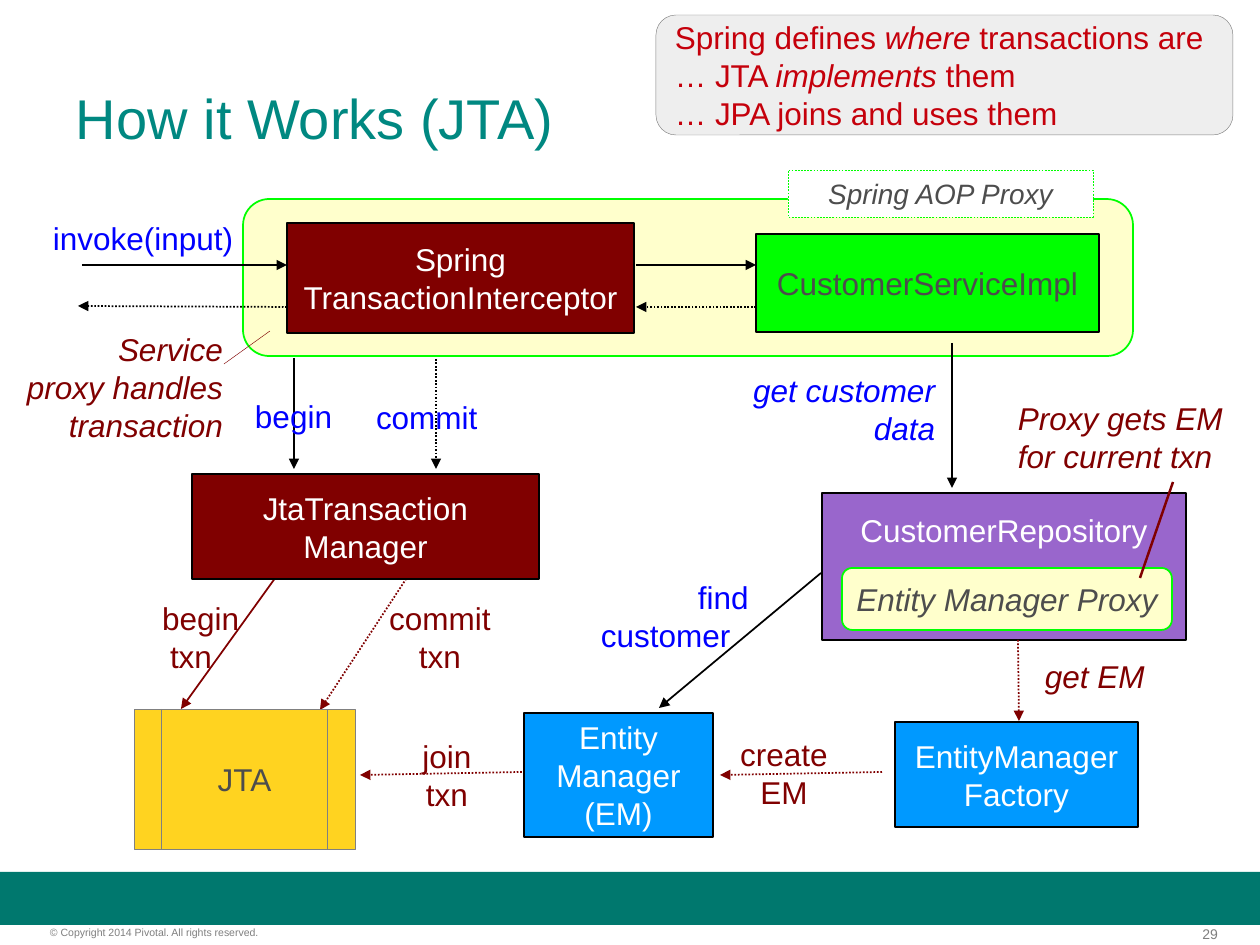
from lxml.etree import SubElement
from pptx import Presentation
from pptx.dml.color import RGBColor
from pptx.enum.dml import MSO_LINE
from pptx.enum.shapes import MSO_CONNECTOR, MSO_SHAPE
from pptx.enum.text import MSO_ANCHOR, PP_ALIGN
from pptx.oxml.ns import qn
from pptx.util import Pt

SCALE = 914400 / 126
HAIRLINE = 0.25
C = {
    "teal": "00786E", "title": "008881", "footer": "7F7F7F", "white": "FFFFFF",
    "black": "000000", "gray": "808080", "text": "4D4D4D", "blue": "0000FF",
    "maroon": "800000", "red": "C5000B", "silver": "EEEEEE", "cream": "FFFFCC",
    "green": "00FF00", "purple": "9966CC", "sky": "0099FF", "gold": "FFD320",
}
LEFT, CENTER, RIGHT = PP_ALIGN.LEFT, PP_ALIGN.CENTER, PP_ALIGN.RIGHT


def px(n):
    """Turn px into EMU."""
    return round(n * SCALE)


def rgb(name):
    """Look up a colour by name."""
    return RGBColor.from_string(C[name])


def write(tf, lines, color, size=18, align=LEFT, italic=False, pad=(13, 6), indents=()):
    """Fill a frame with lines; asterisks enclose italic runs."""
    tf.word_wrap = True
    tf.margin_left = tf.margin_right = px(pad[0])
    tf.margin_top = tf.margin_bottom = px(pad[1])
    for i, line in enumerate(lines):
        p = tf.paragraphs[0] if i == 0 else tf.add_paragraph()
        p.alignment = align
        if i < len(indents):
            p._p.get_or_add_pPr().set("marL", str(px(indents[i])))
        p.font.name, p.font.size, p.font.color.rgb = "Arial", Pt(size), rgb(color)
        p.font.italic = italic
        for j, part in enumerate(line.split("*")):
            if part:
                r = p.add_run()
                r.text = part
                if j % 2:
                    r.font.italic = True


def label(s, x, y, w, h, lines, color, anchor=MSO_ANCHOR.TOP, **style):
    """Place a text box."""
    tf = s.shapes.add_textbox(px(x), px(y), px(w), px(h)).text_frame
    tf.vertical_anchor = anchor
    write(tf, lines, color, **style)


def box(s, x, y, w, h, fill, line="black", lines=(), color="white", weight=1,
        kind=MSO_SHAPE.RECTANGLE, align=CENTER, **style):
    """Place a filled shape with centred text."""
    sp = s.shapes.add_shape(kind, px(x), px(y), px(w), px(h))
    sp.shadow.inherit = False
    sp.fill.solid()
    sp.fill.fore_color.rgb = rgb(fill)
    if line:
        sp.line.color.rgb, sp.line.width = rgb(line), Pt(weight)
    else:
        sp.line.fill.background()
    sp.text_frame.vertical_anchor = MSO_ANCHOR.MIDDLE
    write(sp.text_frame, lines, color, align=align, **style)
    return sp


def rounded(s, *args, **style):
    """Place a rounded box."""
    return box(s, *args, kind=MSO_SHAPE.ROUNDED_RECTANGLE, **style)


def arrow(s, x1, y1, x2, y2, color="black", dotted=False, weight=1, head=True):
    """Draw a line, by default with an arrowhead at its end."""
    c = s.shapes.add_connector(MSO_CONNECTOR.STRAIGHT, px(x1), px(y1), px(x2), px(y2))
    c.line.color.rgb, c.line.width = rgb(color), Pt(weight)
    if dotted:
        c.line.dash_style = MSO_LINE.ROUND_DOT
    if head:
        SubElement(c.line._get_or_add_ln(), qn("a:tailEnd"), type="triangle")
    SubElement(c._element.spPr, qn("a:effectLst"))


def footer(s, x, y):
    """Place the bar, copyright line and page number."""
    box(s, x, y, 1260, 53, "teal", None)
    label(s, x + 50, y + 54, 314, 13, ["© Copyright 2014 Pivotal. All rights reserved."],
          "footer", size=6, pad=(0, 0))
    label(s, x + 1145, y + 54, 73, 16, ["29"], "footer", size=8, align=RIGHT, pad=(0, 0))


def header(s, x, y):
    """Place the title and the summary callout."""
    label(s, x, y + 23, 560, 158, ["How it Works (JTA)"], "title", MSO_ANCHOR.MIDDLE, size=32)
    rounded(s, x + 593, y, 577, 120, "silver", "gray",
            ["Spring defines *where* transactions are", "… JTA *implements* them",
             "… JPA joins and uses them"], "red", weight=HAIRLINE, align=LEFT)


def service_proxy(s, x, y):
    """Place the proxy with its interceptor and service."""
    rounded(s, x + 243, y + 29, 890, 157, "cream", "green")
    label(s, x + 40, y + 43, 215, 50, ["invoke(input)"], "blue")
    arrow(s, x + 82, y + 95, x + 287, y + 95)
    box(s, x + 287, y + 53, 347, 110, "maroon", lines=["Spring", "TransactionInterceptor"])
    box(s, x + 756, y + 64, 343, 98, "green", lines=["CustomerServiceImpl"], color="text")
    arrow(s, x + 636, y + 95, x + 756, y + 95)
    arrow(s, x + 756, y + 137, x + 636, y + 137, dotted=True)
    arrow(s, x + 287, y + 137, x + 78, y + 136, dotted=True)
    aop = box(s, x + 788, y, 305, 47, "white", "green", ["Spring AOP Proxy"], "text",
              weight=HAIRLINE, size=16, italic=True)
    aop.line.dash_style = MSO_LINE.DASH
    arrow(s, x + 270, y + 161, x + 224, y + 194, "maroon", weight=HAIRLINE, head=False)
    label(s, x, y + 154, 236, 126, ["Service", "proxy handles", "transaction"],
          "maroon", align=RIGHT, italic=True)


def transactions(s, x, y):
    """Place the transaction manager, JTA and the calls between them."""
    arrow(s, x + 174, y, x + 174, y + 111)
    arrow(s, x + 316, y + 1, x + 316, y + 111, dotted=True)
    label(s, x + 122, y + 33, 120, 50, ["begin"], "blue")
    label(s, x + 243, y + 34, 145, 50, ["commit"], "blue")
    arrow(s, x + 161, y + 212, x + 61, y + 351, "maroon")
    arrow(s, x + 292, y + 212, x + 200, y + 352, "maroon", dotted=True)
    box(s, x + 72, y + 116, 347, 105, "maroon", lines=["JtaTransaction", "Manager"])
    label(s, x + 29, y + 235, 130, 88, ["begin", "txn"], "maroon", indents=(0, 8))
    label(s, x + 250, y + 235, 140, 88, ["commit", "txn"], "maroon", align=CENTER)
    box(s, x + 14, y + 351, 221, 140, "gold", "gray", ["JTA"], "text", weight=HAIRLINE,
        kind=MSO_SHAPE.FLOWCHART_PREDEFINED_PROCESS)


def repository(s, x, y):
    """Place the repository, its proxy and its calls."""
    arrow(s, x + 364, y, x + 364, y + 145)
    label(s, x + 142, y + 22, 218, 88, ["get customer", "data"], "blue",
          align=RIGHT, italic=True)
    label(s, x + 417, y + 50, 250, 88, ["Proxy gets EM", "for current txn"], "maroon",
          italic=True)
    box(s, x + 234, y + 150, 364, 147, "purple")
    label(s, x + 234, y + 162, 364, 50, ["CustomerRepository"], "white", align=CENTER)
    rounded(s, x + 254, y + 225, 330, 62, "cream", "green", ["Entity Manager Proxy"],
            "text", italic=True, pad=(4, 6))
    arrow(s, x + 585, y + 139, x + 552, y + 235, "maroon", weight=1.42, head=False)
    arrow(s, x + 233, y + 230, x + 71, y + 365)
    label(s, x, y + 229, 210, 88, ["find", "customer"], "blue", indents=(97, 0))
    arrow(s, x + 430, y + 297, x + 431, y + 378, "maroon", dotted=True)
    label(s, x + 444, y + 308, 150, 50, ["get EM"], "maroon", italic=True)


def entity_managers(s, x, y):
    """Place the entity manager, its factory and the joining calls."""
    box(s, x + 174, y + 4, 189, 124, "sky", lines=["Entity", "Manager (EM)"])
    box(s, x + 545, y + 13, 243, 105, "sky", lines=["EntityManager", "Factory"])
    for start, end in ((172, 10), (532, 370)):
        arrow(s, x + start, y + 63, x + end, y + 66, "maroon", dotted=True)
    label(s, x + 47, y + 22, 100, 88, ["join", "txn"], "maroon", align=CENTER)
    label(s, x + 364, y + 20, 140, 88, ["create", "EM"], "maroon", align=CENTER)


def main():
    """Build and save the slide."""
    prs = Presentation()
    prs.slide_width, prs.slide_height = px(1260), px(945)
    s = prs.slides.add_slide(prs.slide_layouts[6])
    footer(s, 0, 872)
    header(s, 63, 15)
    service_proxy(s, 0, 170)
    transactions(s, 120, 358)
    repository(s, 588, 343)
    entity_managers(s, 350, 709)
    prs.save("out.pptx")


if __name__ == "__main__":
    main()
